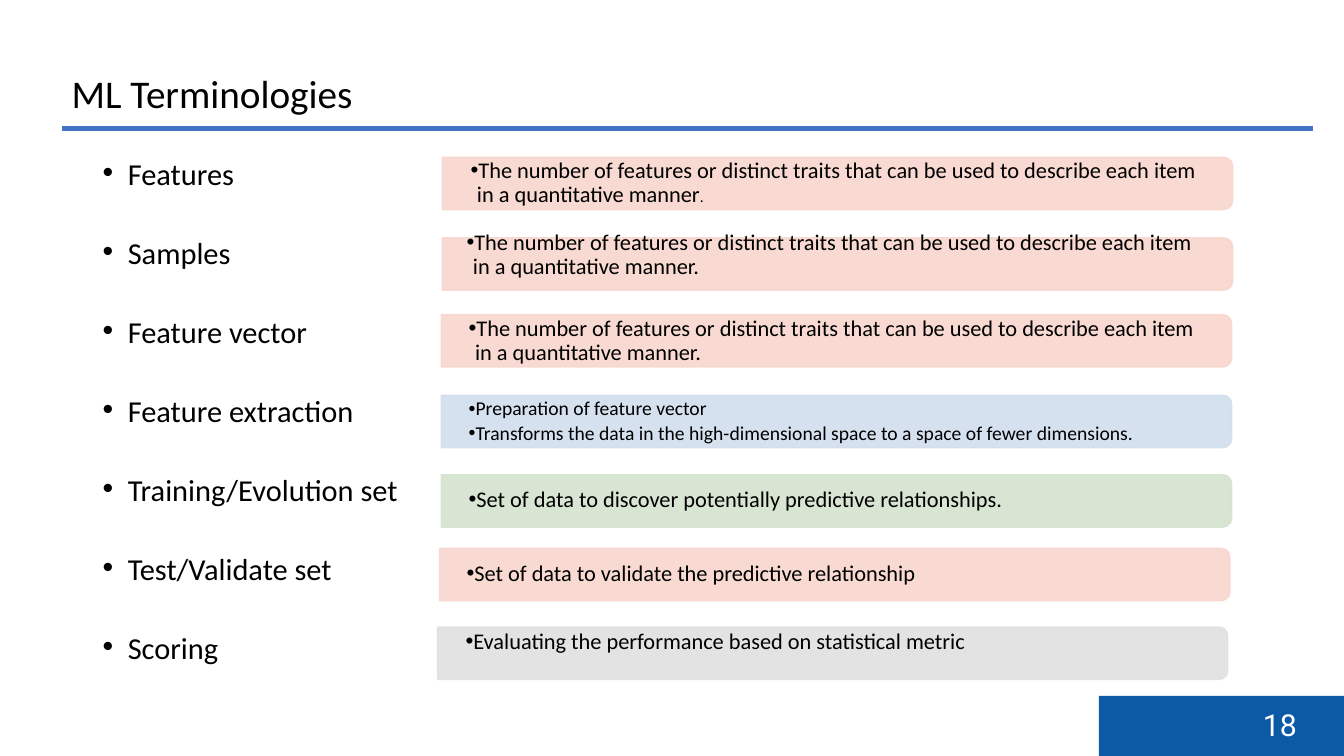
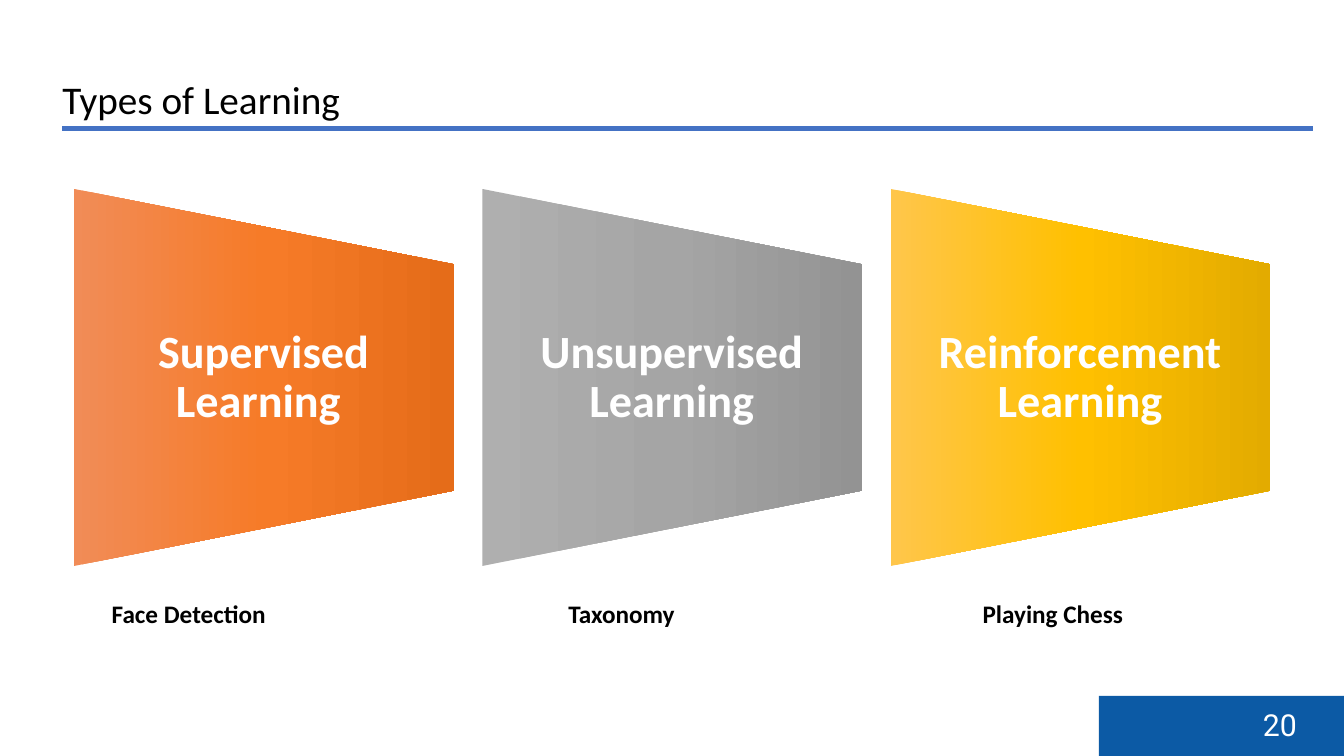
from lxml.etree import SubElement
from pptx import Presentation
from pptx.dml.color import RGBColor
from pptx.enum.shapes import MSO_SHAPE
from pptx.enum.text import MSO_ANCHOR, MSO_AUTO_SIZE, PP_ALIGN
from pptx.oxml.ns import qn
from pptx.util import Pt

BLACK, WHITE = "000000", "FFFFFF"
RULE_BLUE, FOOTER_BLUE = "4472C4", "0C5AA5"
PEACH, PALE_BLUE, PALE_GREEN, PALE_GREY = "F8D7CE", "D2DEEF", "D5E3CF", "E1E1E1"
BODY_FONT, NUMBER_FONT = "Calibri", "Roboto"
BAND_LENGTH, BAND_HEIGHT = 564.5, 37.4
DEFINITION_HEIGHT = 34
TYPE_PITCH = 291.6

TERMS = ["Features", "Samples", "Feature vector", "Feature extraction",
         "Training/Evolution set", "Test/Validate set", "Scoring"]
TRAITS = ("The number of features or distinct traits that can be used to "
          "describe each item in a quantitative manner")

# Band colour, band left, band middle, text left, text middle, size, paragraphs
DEFINITIONS = [
    (PEACH, 316, 131, 316.8, 130.7, 16, [[(TRAITS, 16), (".", 11)]]),
    (PEACH, 316, 188.6, 313.9, 182.5, 16, [TRAITS + "."]),
    (PEACH, 315.3, 243.4, 315.4, 243.7, 16, [TRAITS + "."]),
    (PALE_BLUE, 315.3, 301, 315.4, 301.3, 14,
     ["Preparation of feature vector",
      "Transforms the data in the high-dimensional space to a space of fewer dimensions."]),
    (PALE_GREEN, 315.3, 357.8, 315.4, 357.5, 16,
     ["Set of data to discover potentially predictive relationships."]),
    (PEACH, 314, 410.4, 313.9, 410, 16,
     ["Set of data to validate the predictive relationship"]),
    (PALE_GREY, 312.5, 466.6, 313.2, 459, 16,
     ["Evaluating the performance based on statistical metric"]),
]

LEARNING_TYPES = [
    ("Supervised Learning ", ("F18C57", "F67B28", "E56C19"), "Face Detection", 72.7),
    ("Unsupervised Learning", ("AFAFAF", "A5A5A5", "939393"), "Taxonomy", 398.9),
    ("Reinforcement Learning", ("FFC64B", "FFC000", "E3AB00"), "Playing Chess", 694.8),
]


def color(value):
    """Return the colour for a hex string."""
    return RGBColor.from_string(value)


def add_bullet(paragraph, indent):
    """Give a paragraph a round bullet with a hanging indent in points."""
    properties = paragraph._p.get_or_add_pPr()
    properties.set("marL", str(int(Pt(indent))))
    properties.set("indent", str(-int(Pt(indent))))
    SubElement(properties, qn("a:buFont"), typeface="Arial")
    SubElement(properties, qn("a:buChar"), char="•")


def write(frame, paragraphs, size=18, font=BODY_FONT, fill=BLACK, bold=False,
          align=PP_ALIGN.LEFT, anchor=MSO_ANCHOR.TOP, line=None, gap=0,
          indent=None, inset=(7.2, 3.6)):
    """Fill a text frame; a paragraph is a string or a list of (text, size) runs."""
    frame.word_wrap = True
    frame.auto_size = MSO_AUTO_SIZE.NONE
    frame.vertical_anchor = anchor
    frame.margin_left = frame.margin_right = Pt(inset[0])
    frame.margin_top = frame.margin_bottom = Pt(inset[1])
    for index, content in enumerate(paragraphs):
        paragraph = frame.add_paragraph() if index else frame.paragraphs[0]
        if indent is not None:
            add_bullet(paragraph, indent)
        paragraph.alignment = align
        paragraph.line_spacing = line
        if index:
            paragraph.space_before = Pt(gap)
        runs = [(content, size)] if isinstance(content, str) else content
        for text, run_size in runs:
            run = paragraph.add_run()
            run.text = text
            run.font.size = Pt(run_size)
            run.font.name = font
            run.font.bold = bold
            run.font.color.rgb = color(fill)


def add_text(slide, box, paragraphs, **text_format):
    """Add a text box at (left, top, width, height) in points."""
    shape = slide.shapes.add_textbox(*map(Pt, box))
    write(shape.text_frame, paragraphs, **text_format)


def add_block(slide, kind, box, fill=None, outline=None, rotation=0):
    """Add a preset shape without shadow."""
    shape = slide.shapes.add_shape(kind, *map(Pt, box))
    shape.shadow.inherit = False
    shape.rotation = rotation
    if fill:
        shape.fill.solid()
        shape.fill.fore_color.rgb = color(fill)
    if outline:
        shape.line.color.rgb = color(outline)
        shape.line.width = Pt(1)
    else:
        shape.line.fill.background()
    return shape


def add_band(slide, fill, left, middle):
    """Add a slightly transparent band with rounded right corners."""
    box = (left + (BAND_LENGTH - BAND_HEIGHT) / 2, middle - BAND_LENGTH / 2,
           BAND_HEIGHT, BAND_LENGTH)
    band = add_block(slide, MSO_SHAPE.ROUND_2_SAME_RECTANGLE, box, fill, fill, 90)
    for element in list(band._element.spPr.iter(qn("a:srgbClr"))):
        SubElement(element, qn("a:alpha"), val="90000")


def add_funnel(slide, left, stops):
    """Add a sideways trapezoid with an even gradient through the stops."""
    funnel = add_block(slide, MSO_SHAPE.FLOWCHART_MANUAL_OPERATION,
                       (left, 133.9, 269.3, 271.4), rotation=270)
    funnel.fill.gradient()
    funnel.fill.gradient_angle = 270
    stop_list = next(funnel._element.spPr.iter(qn("a:gsLst")))
    for stop in list(stop_list):
        stop_list.remove(stop)
    for index, value in enumerate(stops):
        stop = SubElement(stop_list, qn("a:gs"), pos=str(index * 50000))
        SubElement(stop, qn("a:srgbClr"), val=value)


def add_slide(presentation, title, title_box, number):
    """Add a slide with its title, blue rule and numbered footer."""
    slide = presentation.slides.add_slide(presentation.slide_layouts[5])
    shape = slide.shapes.title
    shape.left, shape.top, shape.width, shape.height = map(Pt, title_box)
    write(shape.text_frame, [title], size=28, anchor=MSO_ANCHOR.MIDDLE)
    add_block(slide, MSO_SHAPE.RECTANGLE, (44, 89.3, 894.2, 5), RULE_BLUE, WHITE)
    add_block(slide, MSO_SHAPE.RECTANGLE, (785, 497, 175, 43), FOOTER_BLUE)
    add_text(slide, (895, 501, 50, 33), [number], size=21.6, font=NUMBER_FONT,
             fill=WHITE)
    return slide


def build_terminologies(presentation):
    """Build the list of terms with their definitions."""
    slide = add_slide(presentation, "ML Terminologies", (44, 9, 792, 114.5), "18")
    add_text(slide, (66.2, 114, 245, 372), TERMS, size=21.7, line=0.7, gap=38.2,
             indent=18)
    for fill, left, middle, text_left, text_middle, size, paragraphs in DEFINITIONS:
        add_band(slide, fill, left, middle)
        box = (text_left, text_middle - DEFINITION_HEIGHT / 2, 563, DEFINITION_HEIGHT)
        add_text(slide, box, paragraphs, size=size, line=0.9, gap=2.4, indent=4.5,
                 anchor=MSO_ANCHOR.MIDDLE, inset=(19.4, 0))


def build_learning_types(presentation):
    """Build the three types of learning with an example each."""
    slide = add_slide(presentation, "Types of Learning", (37.4, 50.4, 300, 41), "20")
    for index, (name, stops, example, example_left) in enumerate(LEARNING_TYPES):
        left = 54 + index * TYPE_PITCH
        add_funnel(slide, left, stops)
        add_text(slide, (left - 1.4, 189.4, 271.4, 161.3), [name], size=33,
                 fill=WHITE, bold=True, align=PP_ALIGN.CENTER, line=0.9,
                 anchor=MSO_ANCHOR.MIDDLE, inset=(16.6, 0))
        add_text(slide, (example_left, 424, 160, 29), [example], bold=True)


def main():
    """Build and save the presentation."""
    presentation = Presentation()
    presentation.slide_width, presentation.slide_height = Pt(960), Pt(540)
    build_terminologies(presentation)
    build_learning_types(presentation)
    presentation.save("out.pptx")


if __name__ == "__main__":
    main()
